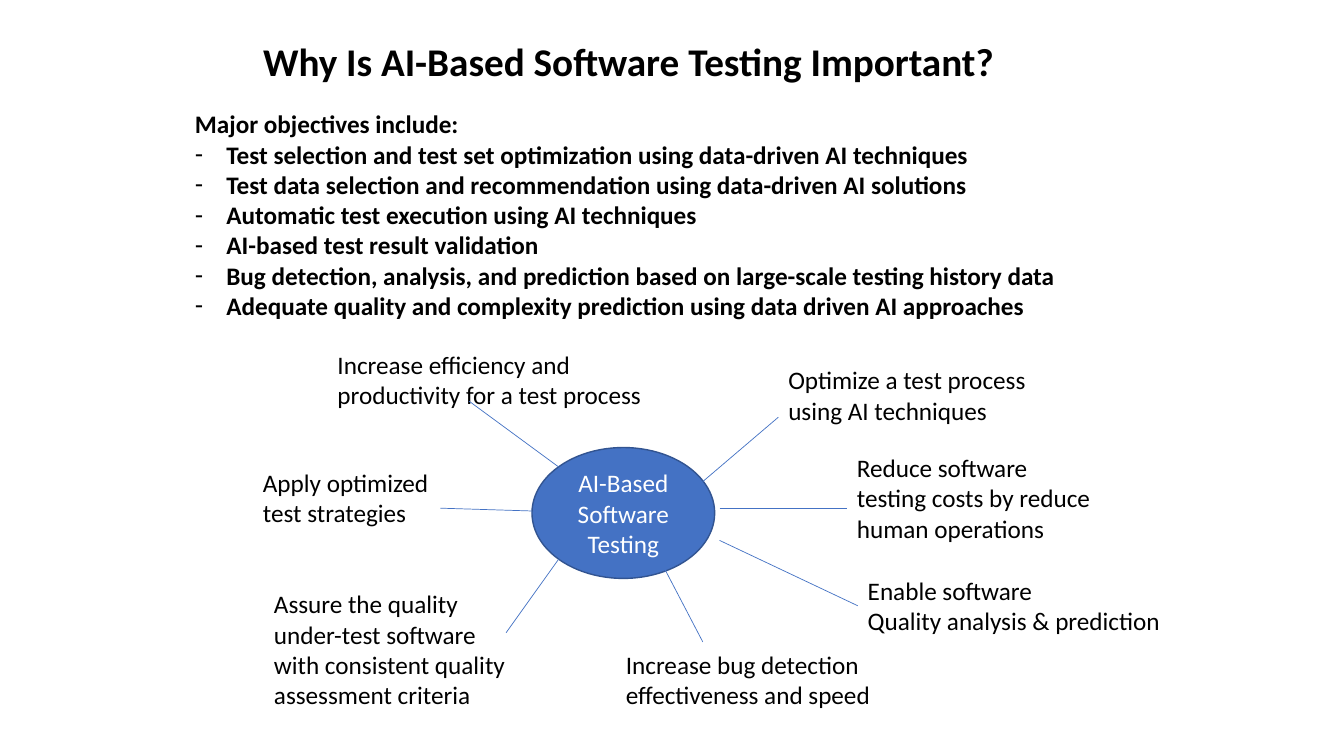
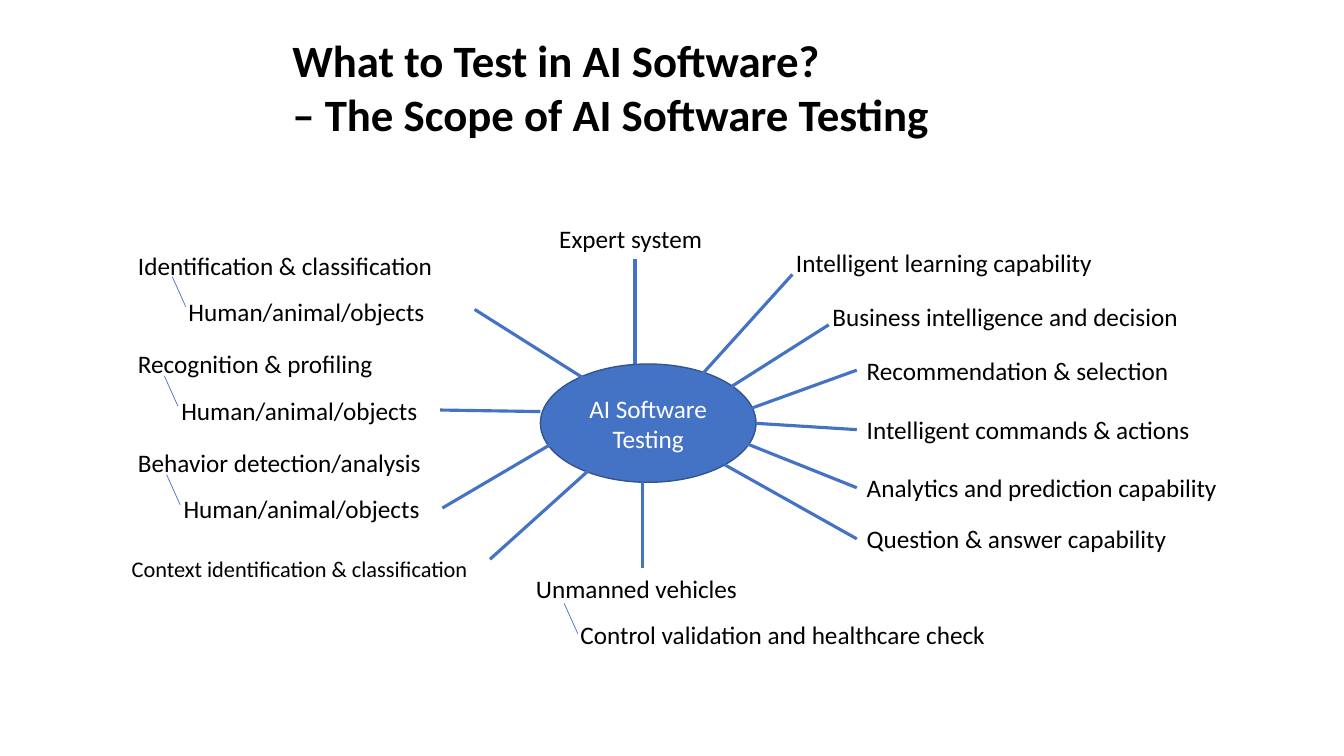
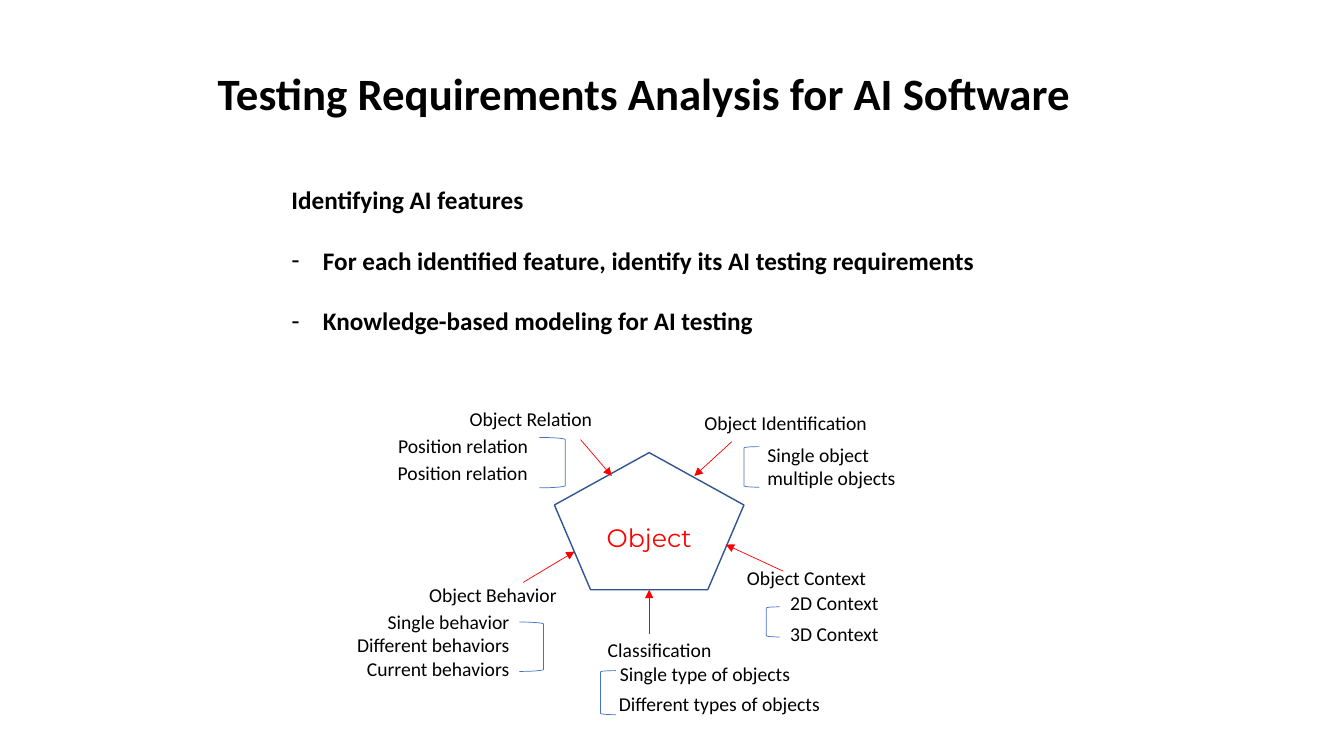
from lxml import etree
from pptx import Presentation
from pptx.dml.color import RGBColor
from pptx.enum.shapes import MSO_CONNECTOR, MSO_SHAPE
from pptx.enum.text import MSO_ANCHOR, MSO_AUTO_SIZE, PP_ALIGN
from pptx.oxml.ns import qn
from pptx.util import Pt

LEFT, MID, RIGHT = PP_ALIGN.LEFT, PP_ALIGN.CENTER, PP_ALIGN.RIGHT
TOP, CENTER = MSO_ANCHOR.TOP, MSO_ANCHOR.MIDDLE
FIXED = MSO_AUTO_SIZE.NONE
STRAIGHT = MSO_CONNECTOR.STRAIGHT
OVAL, PENTA = MSO_SHAPE.OVAL, MSO_SHAPE.REGULAR_PENTAGON
OPEN, CLOSE = MSO_SHAPE.LEFT_BRACKET, MSO_SHAPE.RIGHT_BRACKET
NORTH, WEST, SOUTH, EAST = range(4)

BLACK, WHITE, RED = "000000", "FFFFFF", "FF0000"
BLUE, NAVY = "4472C4", "325491"
THIN, THICK = 0.5, 2.25
BODY, SMALL = 18, 14
INDENT = 22.5


def color(code):
    return RGBColor.from_string(code)


class Deck:
    face = "Calibri"

    def __init__(self):
        self.file = Presentation()
        self.file.slide_width, self.file.slide_height = Pt(960), Pt(540)
        self.slide = None

    def start(self, layout):
        self.slide = self.file.slides.add_slide(self.file.slide_layouts[layout])

    def style(self, frame, size, tint=BLACK, bold=False, align=LEFT, face=None):
        frame.word_wrap = True
        for para in frame.paragraphs:
            para.alignment = align
            para.font.name = face or self.face
            para.font.size = Pt(size)
            para.font.bold = bold
            para.font.color.rgb = color(tint)

    def place(self, shape, x, y, w, h):
        shape.left, shape.top, shape.width, shape.height = Pt(x), Pt(y), Pt(w), Pt(h)
        shape.text_frame.auto_size = FIXED
        shape.text_frame.vertical_anchor = TOP

    def title(self, text, x, y, w, h, size=32):
        shape = self.slide.shapes.title
        self.place(shape, x, y, w, h)
        shape.text_frame.text = text
        self.style(shape.text_frame, size, bold=True)

    def points(self, head, items, x, y, w, h, gap=0):
        shape = self.slide.placeholders[1]
        self.place(shape, x, y, w, h)
        frame = shape.text_frame
        frame.text = "\n".join([head, *items])
        for num, para in enumerate(frame.paragraphs):
            props = para._p.get_or_add_pPr()
            dent = Pt(INDENT) if num else 0
            props.set("marL", str(dent))
            props.set("indent", str(-dent))
            if num:
                etree.SubElement(props, qn("a:buChar"), char="-")
            else:
                etree.SubElement(props, qn("a:buNone"))
            para.space_before = Pt(gap if num else 0)
        self.style(frame, BODY, bold=True)

    def label(self, text, x, y, w, size=BODY, align=LEFT, rows=None):
        rows = rows or text.count("\n") + 1
        high = rows * size * 1.2 + 7.2
        box = self.slide.shapes.add_textbox(Pt(x), Pt(y), Pt(w), Pt(high))
        box.text_frame.text = text
        self.style(box.text_frame, size, align=align)
        return box

    def shape(self, kind, x, y, w, h, fill=None, edge=BLUE, weight=THIN):
        item = self.slide.shapes.add_shape(kind, Pt(x), Pt(y), Pt(w), Pt(h))
        item.shadow.inherit = False
        if fill:
            item.fill.solid()
            item.fill.fore_color.rgb = color(fill)
        else:
            item.fill.background()
        item.line.color.rgb = color(edge)
        item.line.width = Pt(weight)
        return item

    def core(self, kind, text, x, y, w, h, fill=BLUE, tint=WHITE, face=None):
        item = self.shape(kind, x, y, w, h, fill, NAVY, 1)
        item.text_frame.text = text
        item.text_frame.vertical_anchor = CENTER
        self.style(item.text_frame, BODY, tint, align=MID, face=face)

    def link(self, x1, y1, x2, y2, tint=BLUE, weight=THIN, arrow=False):
        line = self.slide.shapes.add_connector(STRAIGHT, Pt(x1), Pt(y1), Pt(x2), Pt(y2))
        line.line.color.rgb = color(tint)
        line.line.width = Pt(weight)
        if arrow:
            edge = line._element.spPr.find(qn("a:ln"))
            etree.SubElement(edge, qn("a:tailEnd"), type="triangle")
        etree.SubElement(line._element.spPr, qn("a:effectLst"))
        return line

    def join(self, box, side, x, y, weight=THIN):
        self.link(x, y, x, y, weight=weight).begin_connect(box, side)


def why(deck):
    deck.start(1)
    deck.title("Why Is AI-Based Software Testing Important?", 180.7, 23, 600, 41, 28)
    deck.points("Major objectives include:", [
        "Test selection and test set optimization using data-driven AI techniques",
        "Test data selection and recommendation using data-driven AI solutions",
        "Automatic test execution using AI techniques",
        "AI-based test result validation",
        "Bug detection, analysis, and prediction based on large-scale testing history data",
        "Adequate quality and complexity prediction using data driven AI approaches",
    ], 132, 74, 707, 160)
    deck.core(OVAL, "AI-Based Software Testing", 380, 319.7, 130.5, 93.5)
    for text, x, y, w in [
        ("Optimize a test process\nusing AI techniques", 556, 257, 197),
        ("Apply optimized\ntest strategies", 180.7, 330, 148),
        ("Increase efficiency and\nproductivity for a test process", 234, 246, 246),
        ("Increase bug detection\neffectiveness and speed", 440, 460, 200),
        ("Reduce software\ntesting costs by reduce\nhuman operations", 605, 319.7, 199),
    ]:
        deck.label(text, x, y, w)
    deck.label("Assure the quality\nunder-test software\n"
               "with consistent quality assessment criteria", 188.6, 417, 214.5, rows=4)
    for ends in [
        (502, 344, 556, 298), (514, 363, 605, 363), (335, 286.5, 399, 333.5),
        (314.5, 363, 380, 365), (472.5, 402, 502, 458.5), (399, 399.5, 361.5, 452),
    ]:
        deck.link(*ends)
    able = deck.label("Enable software\nQuality analysis & prediction", 612.7, 407.5, 237)
    deck.join(able, WEST, 514, 386)


def what(deck):
    deck.start(5)
    deck.title("What to Test in AI Software?\n– The Scope of AI Software Testing",
               201.6, 20, 525, 85)
    deck.core(OVAL, "AI Software Testing", 386, 260, 154, 84.5)
    for text, x, y, w in [
        ("Identification & classification", 91.5, 175, 236),
        ("Human/animal/objects", 127.5, 208, 192),
        ("Recognition & profiling", 91.5, 245.5, 197),
        ("Behavior detection/analysis", 91.5, 316, 227),
        ("Control validation and healthcare check", 407.5, 439, 323),
        ("Intelligent learning capability", 561.5, 173, 238),
        ("Business intelligence and decision", 587.5, 211.7, 277),
    ]:
        deck.label(text, x, y, w)
    deck.label("Context identification & classification", 87, 393, 274, 16)
    for text, x, y, w, side, to_x, to_y in [
        ("Expert system", 392.4, 156, 122.4, SOUTH, 453.6, 260),
        ("Human/animal/objects", 122.4, 278.5, 192, EAST, 386, 294),
        ("Human/animal/objects", 124, 348.5, 192, EAST, 392.4, 318),
        ("Recommendation & selection", 612, 250, 245, WEST, 537, 291.5),
        ("Intelligent commands & actions", 612, 292.5, 262, WEST, 540, 302.4),
        ("Analytics and prediction capability", 612, 334, 284.5, WEST, 533.5, 317),
        ("Question & answer capability", 612, 370.5, 246, WEST, 517.7, 332),
        ("Unmanned vehicles", 375.8, 406, 166.4, NORTH, 459, 344.5),
    ]:
        deck.join(deck.label(text, x, y, w), side, to_x, to_y, THICK)
    for ends in [
        (339, 221, 419, 271.5), (566, 196, 500.5, 268.5),
        (592, 232, 522.7, 276), (420.5, 336, 350, 399.5),
    ]:
        deck.link(*ends, weight=THICK)
    for x, y in [(403, 431), (123, 197.5), (117.4, 268.5), (119, 339)]:
        deck.link(x, y, x + 9.7, y + 21.6)


def needs(deck):
    deck.start(1)
    deck.title("Testing Requirements Analysis for AI Software", 148.3, 43, 692, 46)
    deck.points("Identifying AI features", [
        "For each identified feature, identify its AI testing requirements",
        "Knowledge-based modeling for AI testing",
    ], 201, 128, 675, 117, gap=21.8)
    deck.core(PENTA, "Object", 396, 323.3, 135.4, 98, WHITE, RED, "Montserrat")
    for text, x, y, w in [
        ("Object Identification", 496, 290, 143),
        ("Single object\nmultiple objects", 541, 312.5, 114.5),
        ("Object Context", 526.5, 401, 114),
        ("2D Context", 557.3, 418.5, 89),
        ("3D Context", 557.3, 440.7, 89),
        ("Classification", 427, 452, 95),
        ("Single type of objects", 435.7, 469.5, 148),
        ("Different types of objects", 435, 490.5, 166),
        ("Object Relation", 328.3, 287.3, 111.6),
        ("Position relation", 277.3, 306.7, 117.4),
        ("Position relation", 277, 325.5, 117.4),
        ("Object Behavior", 299.5, 412.5, 116),
    ]:
        deck.label(text, x, y, w, SMALL)
    deck.label("Single behavior\nDifferent behaviors\nCurrent behaviors",
               239, 432, 132, SMALL, RIGHT)
    for kind, x, y, w, h in [
        (OPEN, 547.3, 433.5, 9.5, 21.5), (OPEN, 429, 479, 11, 31.5),
        (OPEN, 531.5, 319, 11, 29), (CLOSE, 385.3, 312.5, 18.5, 36),
        (CLOSE, 371, 444.3, 17.3, 35.3),
    ]:
        deck.shape(kind, x, y, w, h)
    for ends in [
        (522.7, 315.5, 496, 340), (559.5, 408, 518.4, 389), (463.7, 453, 463.7, 421.3),
        (414.7, 314, 437, 340), (373.7, 416, 410.4, 394),
    ]:
        deck.link(*ends, tint=RED, arrow=True)


def main():
    deck = Deck()
    why(deck)
    what(deck)
    needs(deck)
    deck.file.save("out.pptx")


if __name__ == "__main__":
    main()
